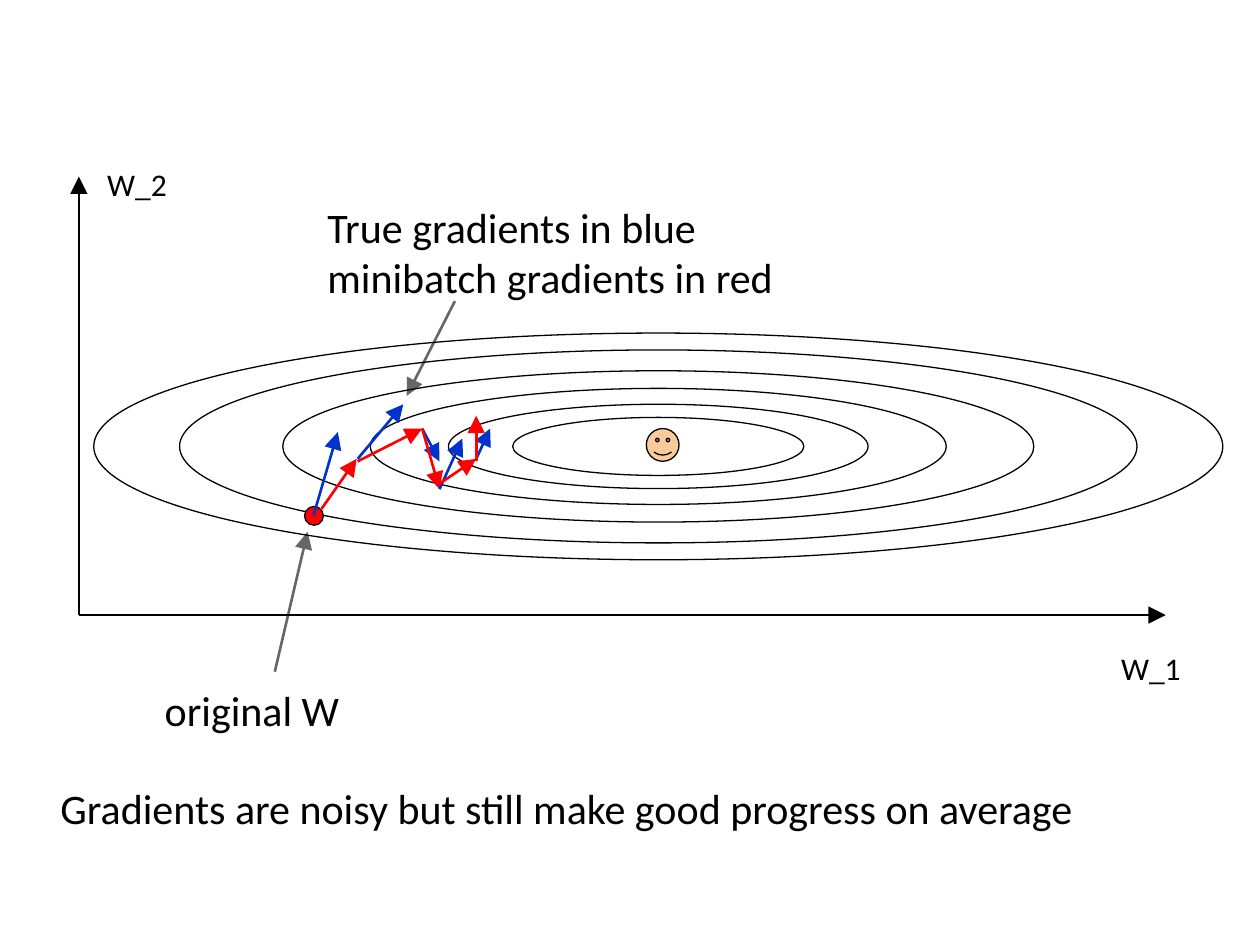
import pptx
import pptx.util
import pptx.dml.color
import pptx.enum.shapes
import pptx.oxml.ns
import lxml.etree

Cm, Pt = pptx.util.Cm, pptx.util.Pt
KIND = pptx.enum.shapes.MSO_SHAPE
BLACK, GREY, RED, BLUE, SKIN = "000000", "666666", "FF0000", "0033CC", "F9CB9C"

# Shared centre of the contours, and their long and short axes in cm
MID = (13.27, 9.0)
RINGS = [(5.87, 1.17), (22.76, 4.57), (19.3, 3.89),
         (15.14, 3.05), (11.61, 2.34), (8.46, 1.7)]

# Descent steps: colour, start, end
STEPS = [
    (BLUE, (6.32, 10.39), (6.81, 8.71)),
    (RED, (6.48, 10.26), (7.19, 9.25)),
    (RED, (7.21, 9.3), (8.51, 8.64)),
    (BLUE, (8.51, 8.64), (8.86, 9.3)),
    (BLUE, (7.21, 9.25), (8.13, 8.15)),
    (RED, (8.51, 8.64), (8.86, 9.86)),
    (BLUE, (8.86, 9.86), (9.32, 8.84)),
    (RED, (8.86, 9.75), (9.6, 9.25)),
    (BLUE, (9.6, 9.25), (9.88, 8.64)),
    (RED, (9.6, 9.3), (9.6, 8.38)),
]


def paint(code):
    return pptx.dml.color.RGBColor.from_string(code)


def add_text(slide, left, top, width, height, size, lines):
    box = slide.shapes.add_textbox(Cm(left), Cm(top), Cm(width), Cm(height))
    frame = box.text_frame
    frame.word_wrap = True
    frame.margin_left = frame.margin_right = Cm(0.25)
    frame.margin_top = frame.margin_bottom = Cm(0.25)
    para = frame.paragraphs[0]
    for i, line in enumerate(lines):
        if i:
            para.add_line_break()
        run = para.add_run()
        run.text = line
        run.font.name = "Calibri"
        run.font.size = Pt(size)
        run.font.color.rgb = paint(BLACK)


def add_arrow(slide, color, start, end, width=1.5):
    line = slide.shapes.add_connector(
        pptx.enum.shapes.MSO_CONNECTOR.STRAIGHT,
        *(Cm(n) for n in start + end))
    line.line.color.rgb = paint(color)
    line.line.width = Pt(width)
    qn = pptx.oxml.ns.qn
    lxml.etree.SubElement(line.line._get_or_add_ln(), qn("a:tailEnd"),
                          type="triangle", w="lg", len="lg")
    lxml.etree.SubElement(line._element.spPr, qn("a:effectLst"))


def add_shape(slide, kind, mid, width, height, fill=None):
    shape = slide.shapes.add_shape(
        kind, Cm(mid[0] - width / 2), Cm(mid[1] - height / 2),
        Cm(width), Cm(height))
    shape.shadow.inherit = False
    shape.line.color.rgb = paint(BLACK)
    shape.line.width = Pt(0.75)
    if fill:
        shape.fill.solid()
        shape.fill.fore_color.rgb = paint(fill)
    else:
        shape.fill.background()
    return shape


def main():
    deck = pptx.Presentation()
    deck.slide_width, deck.slide_height = Cm(25.4), Cm(19.05)
    slide = deck.slides.add_slide(deck.slide_layouts[6])

    # Callouts
    add_arrow(slide, GREY, (9.17, 6.07), (8.2, 7.98))
    add_text(slide, 3.07, 13.54, 5.28, 1.45, 24, ["original W"])
    add_arrow(slide, GREY, (5.54, 13.54), (6.2, 10.72))
    add_text(slide, 6.35, 3.81, 13.79, 1.45, 24,
             ["True gradients in blue", "minibatch gradients in red"])

    # Axes
    root = (1.59, 12.4)
    add_arrow(slide, BLACK, root, (23.5, 12.4), 0.75)
    add_text(slide, 22.35, 12.83, 2.59, 1.12, 18, ["W_1"])
    add_arrow(slide, BLACK, root, (1.59, 3.56), 0.75)
    add_text(slide, 1.91, 3.07, 2.59, 1.12, 18, ["W_2"])

    # Contours: upright ovals turned on their side
    for long, short in RINGS:
        add_shape(slide, KIND.OVAL, MID, short, long).rotation = 90

    # Start point and minimum
    add_shape(slide, KIND.OVAL, (6.33, 10.4), 0.38, 0.38, RED)
    add_shape(slide, KIND.SMILEY_FACE, (13.36, 8.97), 0.66, 0.66, SKIN)

    # Descent steps
    for color, start, end in STEPS:
        add_arrow(slide, color, start, end)

    # Summary
    add_text(slide, 0.97, 15.52, 23.7, 1.45, 24,
             ["Gradients are noisy but still make good progress on average"])

    deck.save("out.pptx")


if __name__ == "__main__":
    main()
